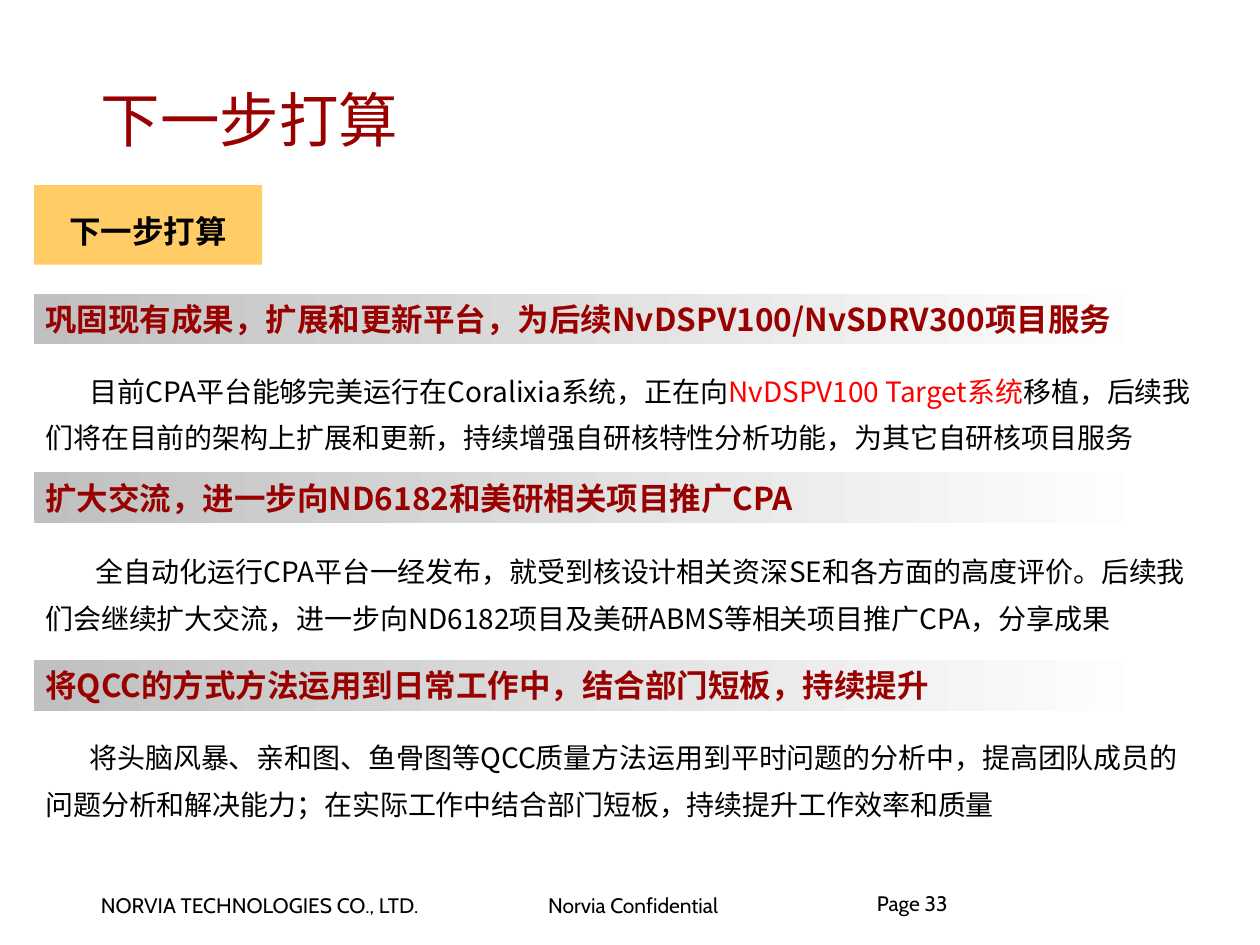
from dataclasses import dataclass

from lxml import etree
from pptx import Presentation
from pptx.dml.color import RGBColor
from pptx.enum.shapes import MSO_SHAPE
from pptx.enum.text import MSO_ANCHOR, PP_ALIGN
from pptx.oxml.ns import qn
from pptx.util import Inches, Pt

RECTANGLE = MSO_SHAPE.RECTANGLE
TOP, MIDDLE = MSO_ANCHOR.TOP, MSO_ANCHOR.MIDDLE
LEFT, CENTER = PP_ALIGN.LEFT, PP_ALIGN.CENTER


@dataclass(frozen=True)
class Theme:
    latin: str = "Cabin"
    chinese: str = "Noto Sans CJK SC"
    black: str = "000000"
    dark_red: str = "990000"
    red: str = "FF0000"
    amber: str = "FFCC66"
    silver: str = "C0C0C0"
    white: str = "FFFFFF"
    title: int = 34
    heading: int = 18
    body: int = 16
    footer: int = 12
    loose: float = 1.4


THEME = Theme()

SECTIONS = [
    ((0.27, 2.33, 9.29, 1.33), 0.48, 0.35,
     "巩固现有成果，扩展和更新平台，为后续NvDSPV100/NvSDRV300项目服务",
     [("目前CPA平台能够完美运行在Coralixia系统，正在向", THEME.black),
      ("NvDSPV100 Target系统", THEME.red),
      ("移植，后续我们将在目前的架构上扩展和更新，持续增强自研核特性分析功能，"
       "为其它自研核项目服务", THEME.black)]),
    ((0.27, 3.75, 9.29, 1.34), 0.49, 0.4,
     "扩大交流，进一步向ND6182和美研相关项目推广CPA",
     [("全自动化运行CPA平台一经发布，就受到核设计相关资深SE和各方面的高度评价。"
       "后续我们会继续扩大交流，进一步向ND6182项目及美研ABMS等相关项目推广CPA，分享成果",
       THEME.black)]),
    ((0.27, 5.24, 9.29, 1.33), 0.48, 0.35,
     "将QCC的方式方法运用到日常工作中，结合部门短板，持续提升",
     [("将头脑风暴、亲和图、鱼骨图等QCC质量方法运用到平时问题的分析中，"
       "提高团队成员的问题分析和解决能力；在实际工作中结合部门短板，持续提升工作效率和质量",
       THEME.black)]),
]


def write_text(shape, spans, *, size, color=THEME.black, font=THEME.chinese,
               bold=False, align=LEFT, anchor=TOP, spacing=1.0, indent=0,
               inset=(0.09, 0.05), wrap=True):
    frame = shape.text_frame
    frame.word_wrap = wrap
    frame.vertical_anchor = anchor
    frame.margin_left = frame.margin_right = Inches(inset[0])
    frame.margin_top = frame.margin_bottom = Inches(inset[1])
    para = frame.paragraphs[0]
    para.alignment = align
    para.line_spacing = spacing
    if indent:
        para._p.get_or_add_pPr().set("indent", str(Inches(indent)))
    for text, span_color in [(spans, color)] if isinstance(spans, str) else spans:
        span = para.add_run()
        span.text = text
        span.font.name = font
        span.font.size = Pt(size)
        span.font.bold = bold
        span.font.color.rgb = RGBColor.from_string(span_color)
        east_asian = etree.SubElement(span._r.get_or_add_rPr(), qn("a:ea"))
        east_asian.set("typeface", THEME.chinese)


def add_text(page, box, spans, **style):
    shape = page.shapes.add_textbox(*map(Inches, box))
    write_text(shape, spans, **style)


def add_bar(page, box, color, fade_to=None):
    bar = page.shapes.add_shape(RECTANGLE, *map(Inches, box))
    bar.shadow.inherit = False
    bar.line.fill.background()
    if fade_to:
        bar.fill.gradient()
        bar.fill.gradient_angle = 0
        for stop, stop_color in zip(bar.fill.gradient_stops, (color, fade_to)):
            stop.color.rgb = RGBColor.from_string(stop_color)
    else:
        bar.fill.solid()
        bar.fill.fore_color.rgb = RGBColor.from_string(color)
    return bar


def add_footer(page, box):
    left, top, width, height = box
    style = dict(size=THEME.footer, font=THEME.latin)
    add_text(page, (left, top, 2.86, 0.29), "NORVIA TECHNOLOGIES CO., LTD.",
             inset=(0.09, 0.04), wrap=False, **style)
    add_text(page, (left + 3.55, top, 1.78, 0.29), "Norvia Confidential",
             inset=(0.09, 0.04), wrap=False, **style)
    add_text(page, (left + 6.25, top + 0.06, width - 6.25, height - 0.06),
             "Page 33", inset=(0, 0), spacing=0.85, **style)


def add_label(page, box):
    left, top, width, height = box
    add_bar(page, box, THEME.amber)
    add_text(page, (left, top + 0.04, width, height - 0.11), "下一步打算",
             size=THEME.heading, bold=True, align=CENTER, anchor=MIDDLE,
             spacing=THEME.loose)


def add_section(page, box, body_offset, indent, heading, body):
    left, top, width, height = box
    bar = add_bar(page, (left, top, 8.93, 0.4), THEME.silver, THEME.white)
    write_text(bar, heading, size=THEME.heading, color=THEME.dark_red, bold=True)
    add_text(page, (left, top + body_offset, width, height - body_offset), body,
             size=THEME.body, anchor=MIDDLE, spacing=THEME.loose, indent=indent)


def main():
    deck = Presentation()
    deck.slide_width, deck.slide_height = Inches(10), Inches(7.5)
    page = deck.slides.add_slide(deck.slide_layouts[6])
    add_footer(page, (0.71, 7.04, 8.54, 0.56))
    add_text(page, (0.71, 0.47, 8.47, 0.95), "下一步打算", size=THEME.title,
             color=THEME.dark_red, font=THEME.latin, anchor=MIDDLE,
             inset=(0.09, 0.04))
    add_label(page, (0.27, 1.47, 1.81, 0.63))
    for section in SECTIONS:
        add_section(page, *section)
    deck.save("out.pptx")


if __name__ == "__main__":
    main()
